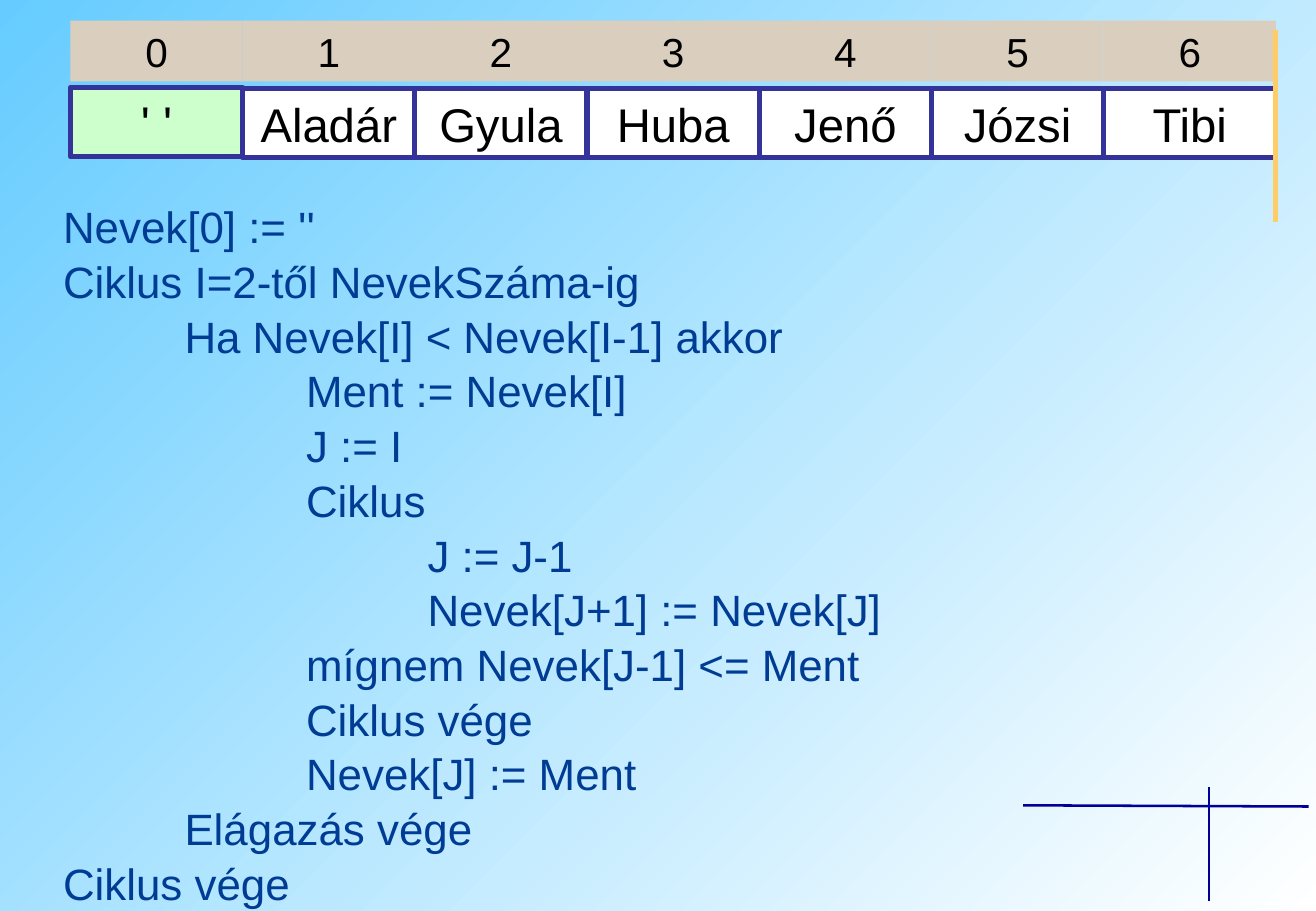
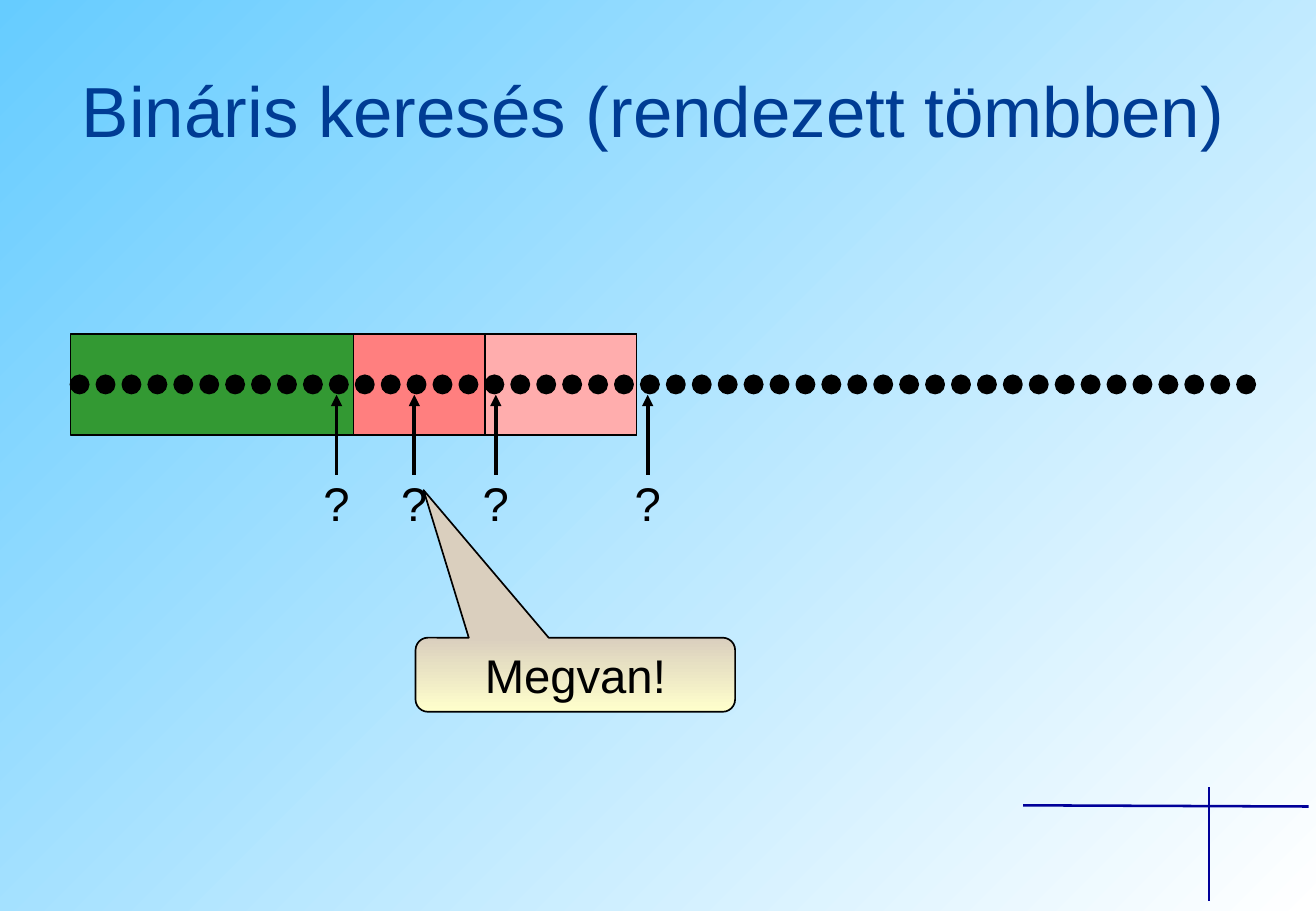
"""Build two slides on sorting and searching an array of names."""
from dataclasses import dataclass
from typing import Any, Optional

from lxml import etree
from pptx import Presentation
from pptx import util as u
from pptx.dml.color import RGBColor
from pptx.enum import shapes, text
from pptx.oxml.ns import qn


@dataclass(frozen=True)
class Theme:
    font: str = "Arial"
    sky: str = "66CCFF"
    white: str = "FFFFFF"
    ink: str = "000000"
    heading: str = "003C94"
    corner: str = "000099"
    frame: str = "333399"
    sand: str = "DACFBE"
    cream: str = "FFFFCC"
    mint: str = "CCFFCC"
    amber: str = "FFCC66"
    green: str = "339933"
    pink: str = "FFADAD"
    red: str = "FF7F7F"
    title_size: float = 42
    label_size: float = 28
    code_size: float = 26
    index_size: float = 24


@dataclass(frozen=True)
class Area:
    left: float
    top: float
    width: float
    height: float

    def lengths(self) -> tuple[u.Length, ...]:
        return tuple(u.Inches(v) for v in (self.left, self.top, self.width, self.height))


@dataclass(frozen=True)
class Stroke:
    color: str
    width: float


@dataclass(frozen=True)
class Line:
    x1: float
    y1: float
    x2: float
    y2: float
    stroke: Stroke
    arrow: bool = False


@dataclass(frozen=True)
class Region:
    left: float
    width: float
    fill: str


@dataclass(frozen=True)
class CodeLine:
    depth: int
    text: str


THEME = Theme()
THIN = Stroke(THEME.ink, 1)
FRAME = Stroke(THEME.frame, 3)
CORNER = Stroke(THEME.corner, 1.5)
CORNER_LINES = (
    Line(8.42, 6.63, 10.77, 6.64, CORNER),
    Line(9.95, 6.48, 9.95, 7.42, CORNER),
)
NAMES = ("Aladár", "Gyula", "Huba", "Jenő", "Józsi", "Tibi")
ARRAY_LEFT, ARRAY_RIGHT = 0.58, 10.5
CELL_WIDTH = (ARRAY_RIGHT - ARRAY_LEFT) / (len(NAMES) + 1)
CODE = (
    CodeLine(0, "Nevek[0] := ''"),
    CodeLine(0, "Ciklus I=2-től NevekSzáma-ig"),
    CodeLine(1, "Ha Nevek[I] < Nevek[I-1] akkor"),
    CodeLine(2, "Ment := Nevek[I]"),
    CodeLine(2, "J := I"),
    CodeLine(2, "Ciklus"),
    CodeLine(3, "J := J-1"),
    CodeLine(3, "Nevek[J+1] := Nevek[J]"),
    CodeLine(2, "mígnem Nevek[J-1] <= Ment"),
    CodeLine(2, "Ciklus vége"),
    CodeLine(2, "Nevek[J] := Ment"),
    CodeLine(1, "Elágazás vége"),
    CodeLine(0, "Ciklus vége"),
)
REGIONS = (
    Region(0.58, 4.66, THEME.green),
    Region(2.91, 2.33, THEME.pink),
    Region(2.91, 1.08, THEME.red),
)
DOT_COUNT = 46
DOT_STEP = 9.6 / (DOT_COUNT - 1)
PROBES = (5.33, 2.77, 4.08, 3.41)


def rgb(color: str) -> RGBColor:
    return RGBColor.from_string(color)


def fill_gradient(fill: Any, start: str, end: str, angle: float) -> None:
    fill.gradient()
    fill.gradient_angle = angle
    for stop, color in zip(fill.gradient_stops, (start, end)):
        stop.color.rgb = rgb(color)


def format_text(box: Any, size: float, color: str = THEME.ink,
                align: Any = text.PP_ALIGN.CENTER) -> None:
    for para in box.text_frame.paragraphs:
        para.alignment = align
        for span in para.runs:
            span.font.name = THEME.font
            span.font.size = u.Pt(size)
            span.font.color.rgb = rgb(color)


def set_label(box: Any, label: str, size: float, color: str = THEME.ink) -> None:
    frame = box.text_frame
    frame.word_wrap = True
    frame.auto_size = text.MSO_AUTO_SIZE.NONE
    frame.vertical_anchor = text.MSO_ANCHOR.MIDDLE
    frame.text = label
    format_text(box, size, color)


def add_box(target: Any, area: Area, fill: Optional[str], stroke: Optional[Stroke] = None,
            kind: Any = shapes.MSO_SHAPE.RECTANGLE) -> Any:
    box = target.shapes.add_shape(kind, *area.lengths())
    box.shadow.inherit = False
    if fill:
        box.fill.solid()
        box.fill.fore_color.rgb = rgb(fill)
    if stroke:
        box.line.color.rgb = rgb(stroke.color)
        box.line.width = u.Pt(stroke.width)
    else:
        box.line.fill.background()
    return box


def add_line(target: Any, line: Line) -> None:
    ends = (u.Inches(v) for v in (line.x1, line.y1, line.x2, line.y2))
    connector = target.shapes.add_connector(shapes.MSO_CONNECTOR.STRAIGHT, *ends)
    connector.line.color.rgb = rgb(line.stroke.color)
    connector.line.width = u.Pt(line.stroke.width)
    properties = connector.element.spPr
    if line.arrow:
        etree.SubElement(properties.find(qn("a:ln")), qn("a:tailEnd"), type="triangle")
    etree.SubElement(properties, qn("a:effectLst"))


def add_page(deck: Any, layout: int) -> Any:
    page = deck.slides.add_slide(deck.slide_layouts[layout])
    for line in CORNER_LINES:
        add_line(page, line)
    return page


def add_cell(target: Any, column: int, label: str, fill: str, top: float = 0.73) -> None:
    left = ARRAY_LEFT + column * CELL_WIDTH
    cell = add_box(target, Area(left, top, CELL_WIDTH, 0.57), fill, FRAME)
    set_label(cell, label, THEME.label_size)


def add_code(page: Any) -> None:
    box = page.shapes.add_textbox(*Area(0.42, 1.58, 9.58, 5.73).lengths())
    frame = box.text_frame
    frame.word_wrap = True
    frame.text = "\n".join(line.text for line in CODE)
    for para, line in zip(frame.paragraphs, CODE):
        para.line_spacing = 1.04
        para._p.get_or_add_pPr().set("marL", str(u.Inches(line.depth)))
    format_text(box, THEME.code_size, THEME.heading, text.PP_ALIGN.LEFT)


def add_probe(page: Any, x: float) -> None:
    probe = page.shapes.add_group_shape()
    add_line(probe, Line(x, 3.91, x, 3.25, Stroke(THEME.ink, 2.25), arrow=True))
    mark = probe.shapes.add_textbox(*Area(x - 0.25, 3.85, 0.5, 0.57).lengths())
    set_label(mark, "?", THEME.label_size)


def build_sorting(deck: Any) -> None:
    page = add_page(deck, 6)
    for column, name in enumerate(NAMES, start=1):
        add_cell(page, column, name, THEME.white)
    index_row = page.shapes.add_group_shape()
    for column in range(len(NAMES) + 1):
        left = ARRAY_LEFT + column * CELL_WIDTH
        box = add_box(index_row, Area(left, 0.17, CELL_WIDTH, 0.5), THEME.sand)
        set_label(box, str(column), THEME.index_size)
    add_line(page, Line(ARRAY_RIGHT, 0.25, ARRAY_RIGHT, 1.83, Stroke(THEME.amber, 3)))
    add_code(page)
    add_cell(page, 0, "' '", THEME.mint, top=0.72)


def build_searching(deck: Any) -> None:
    page = add_page(deck, 5)
    title = page.shapes.title
    title.left, title.top, title.width, title.height = Area(0.42, 0.5, 9.91, 0.8).lengths()
    set_label(title, "Bináris keresés (rendezett tömbben)", THEME.title_size, THEME.heading)
    for region in REGIONS:
        add_box(page, Area(region.left, 2.75, region.width, 0.83), region.fill, THIN)
    dots = page.shapes.add_group_shape()
    for number in range(DOT_COUNT):
        area = Area(ARRAY_LEFT + number * DOT_STEP, 3.09, 0.15, 0.15)
        add_box(dots, area, THEME.ink, THIN, shapes.MSO_SHAPE.OVAL)
    for x in PROBES:
        add_probe(page, x)
    callout = add_box(page, Area(3.42, 5.25, 2.63, 0.61), None, THIN,
                      shapes.MSO_SHAPE.ROUNDED_RECTANGULAR_CALLOUT)
    for position, value in enumerate((-0.475, -2.493, 0.167)):
        callout.adjustments[position] = value
    fill_gradient(callout.fill, THEME.sand, THEME.cream, 270)
    set_label(callout, "Megvan!", THEME.label_size)


def main() -> None:
    deck = Presentation()
    deck.slide_width, deck.slide_height = u.Inches(10.83), u.Inches(7.5)
    fill_gradient(deck.slide_master.background.fill, THEME.white, THEME.sky, 135)
    build_sorting(deck)
    build_searching(deck)
    deck.save("out.pptx")


if __name__ == "__main__":
    main()
